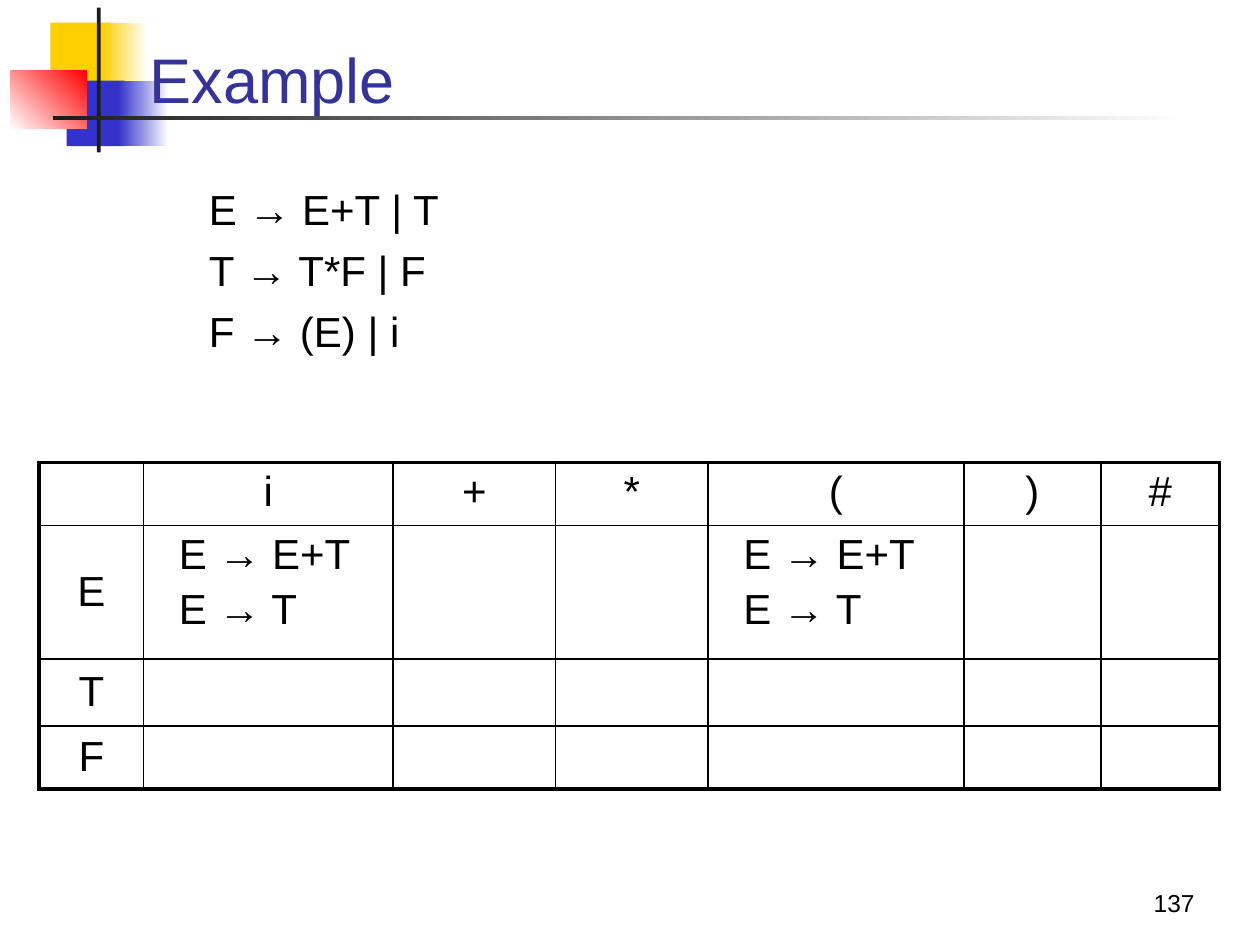
import pptx
import pptx.util
import pptx.dml.color
import pptx.enum.shapes
import pptx.enum.text
import pptx.oxml
import pptx.oxml.ns

Inches, Pt = pptx.util.Inches, pptx.util.Pt
ALIGN, ANCHOR = pptx.enum.text.PP_ALIGN, pptx.enum.text.MSO_ANCHOR


def rgb(value):
    return pptx.dml.color.RGBColor.from_string(value)


def write(frame, lines, size, color="000000", align=ALIGN.LEFT, before=0):
    for number, line in enumerate(lines):
        paragraph = frame.add_paragraph() if number else frame.paragraphs[0]
        paragraph.text = line
        paragraph.alignment = align
        paragraph.space_before = Pt(before)
        paragraph.font.name = "Arial"
        paragraph.font.size = Pt(size)
        paragraph.font.color.rgb = rgb(color)


deck = pptx.Presentation()
deck.slide_width, deck.slide_height = Inches(10), Inches(7.5)
slide = deck.slides.add_slide(deck.slide_layouts[6])

# Corner decoration: box, colours (two make a gradient), gradient angle
decoration = [
    ((0.4, 0.18, 0.48, 0.52), ["FFCF01"], 0),
    ((0.81, 0.18, 0.36, 0.52), ["FFCF01", "FFFFFF"], 0),
    ((0.53, 0.64, 0.46, 0.52), ["3333CC"], 0),
    ((0.94, 0.64, 0.4, 0.52), ["3333CC", "FFFFFF"], 0),
    ((0.08, 0.56, 0.61, 0.46), ["FFFFFF", "FF0000"], 45),
    ((0.77, 0.06, 0.03, 1.15), ["1C1C1C"], 0),
    ((0.42, 0.92, 9, 0.03), ["1C1C1C", "FFFFFF"], 0),
]
for box, colors, angle in decoration:
    block = slide.shapes.add_shape(
        pptx.enum.shapes.MSO_SHAPE.RECTANGLE, *map(Inches, box))
    block.shadow.inherit = False
    block.line.fill.background()
    if len(colors) == 1:
        block.fill.solid()
        block.fill.fore_color.rgb = rgb(colors[0])
    else:
        block.fill.gradient()
        block.fill.gradient_angle = angle
        for stop, color in zip(block.fill.gradient_stops, colors):
            stop.color.rgb = rgb(color)

# Title
title = slide.shapes.add_textbox(
    Inches(1.09), Inches(0.21), Inches(8.52), Inches(0.76)).text_frame
title.word_wrap = True
title.vertical_anchor = ANCHOR.BOTTOM
write(title, ["Example"], 36, "333399")
title.paragraphs[0].line_spacing = 0.85

# Page number
page_number = slide.shapes.add_textbox(
    Inches(7.5), Inches(6.83), Inches(2.08), Inches(0.5)).text_frame
page_number.word_wrap = True
page_number.vertical_anchor = ANCHOR.BOTTOM
write(page_number, ["137"], 14, align=ALIGN.RIGHT)

# Grammar rules
grammar = slide.shapes.add_textbox(
    Inches(1.56), Inches(1.41), Inches(2.58), Inches(1.48)).text_frame
grammar.word_wrap = True
write(grammar, ["E → E+T | T", "T → T*F | F", "F → (E) | i"], 24, before=6)

# Parsing table
column_widths = [0.83, 1.98, 1.29, 1.21, 2.03, 1.09, 0.94]
row_heights = [0.49, 1.06, 0.53, 0.5]
productions = "E → E+T\nE → T"
entries = [
    ["", "i", "+", "*", "(", ")", "#"],
    ["E", productions, "", "", productions, "", ""],
    ["T"] + [""] * 6,
    ["F"] + [""] * 6,
]
parsing = slide.shapes.add_table(
    len(row_heights), len(column_widths), Inches(0.31), Inches(3.67),
    Inches(sum(column_widths)), Inches(sum(row_heights))).table
parsing.first_row = parsing.horz_banding = False
for column, width in zip(parsing.columns, column_widths):
    column.width = Inches(width)
for row, height in zip(parsing.rows, row_heights):
    row.height = Inches(height)

last_row, last_column = len(row_heights) - 1, len(column_widths) - 1
for r, row_entries in enumerate(entries):
    for c, entry in enumerate(row_entries):
        cell = parsing.cell(r, c)
        # Thick outer frame, thin inner lines
        outer_sides = {"L": c == 0, "R": c == last_column,
                       "T": r == 0, "B": r == last_row}
        for side, outer in outer_sides.items():
            cell._tc.get_or_add_tcPr().append(pptx.oxml.parse_xml(
                f'<a:ln{side} {pptx.oxml.ns.nsdecls("a")} w="{Pt(2.25 if outer else 1)}">'
                '<a:solidFill><a:srgbClr val="000000"/></a:solidFill>'
                f'</a:ln{side}>'))
        cell.fill.background()
        if c == 0 and r > 0:
            cell.vertical_anchor = ANCHOR.MIDDLE
        if entry == productions:
            cell.margin_left = Inches(0.28)
        if entry:
            write(cell.text_frame, entry.split("\n"), 24, before=4.8,
                  align=ALIGN.LEFT if entry == productions else ALIGN.CENTER)

deck.save("out.pptx")
